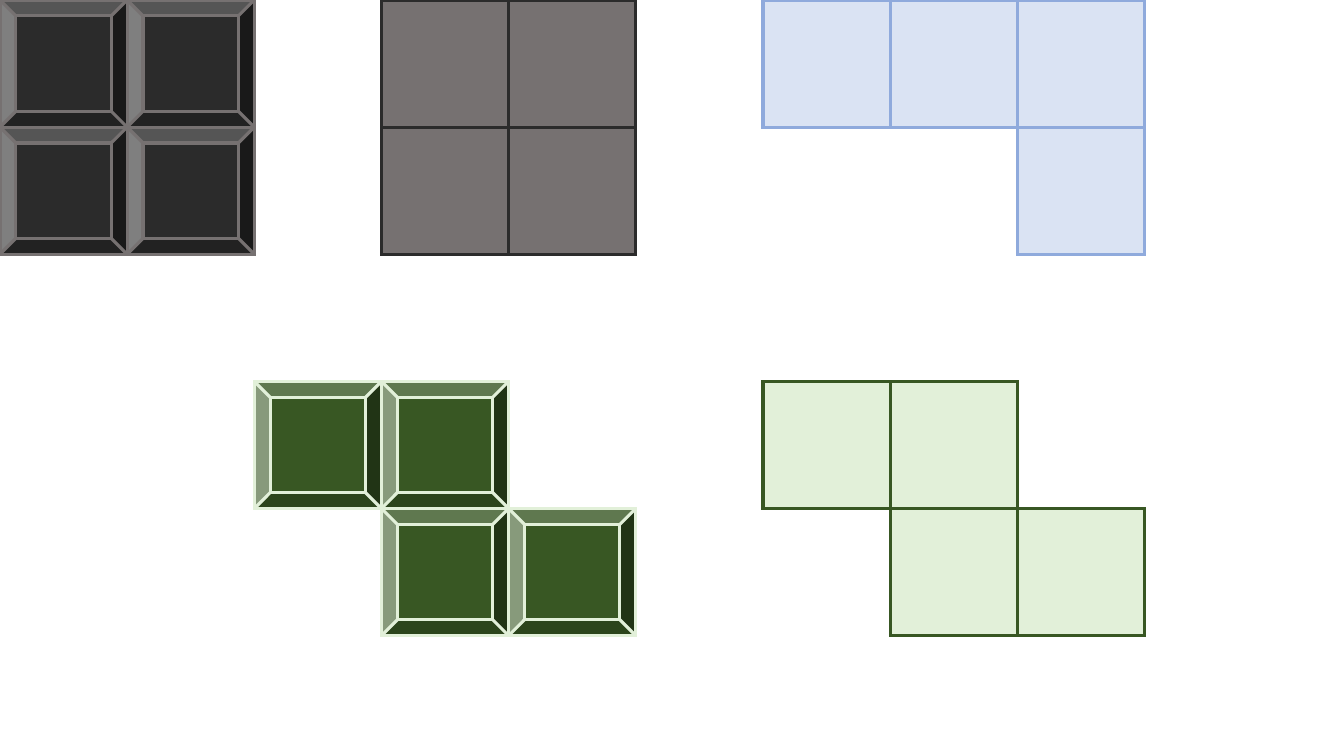
from lxml.etree import SubElement
from pptx import Presentation
from pptx.dml.color import RGBColor
from pptx.enum.shapes import MSO_SHAPE as Preset
from pptx.oxml.ns import qn
from pptx.util import Inches, Pt

CHARCOAL = RGBColor(0x2B, 0x2B, 0x2B)
GRAY = RGBColor(0x76, 0x71, 0x71)
DARK_GREEN = RGBColor(0x38, 0x57, 0x23)
PALE_GREEN = RGBColor(0xE2, 0xF0, 0xD9)
PALE_BLUE = RGBColor(0xDA, 0xE3, 0xF3)
BLUE = RGBColor(0x8F, 0xAA, 0xDC)

SQUARE = [(0, 0), (1, 0), (0, 1), (1, 1)]
HOOK = [(0, 0), (1, 0), (2, 0), (2, 1)]
ZIGZAG = [(0, 0), (1, 0), (1, 1), (2, 1)]

PIECES = [
    {"origin": (0, 0), "cells": SQUARE,
     "preset": Preset.BEVEL, "fill": CHARCOAL, "line": GRAY},
    {"origin": (3, 0), "cells": SQUARE,
     "preset": Preset.RECTANGLE, "fill": GRAY, "line": CHARCOAL},
    {"origin": (2, 3), "cells": ZIGZAG,
     "preset": Preset.BEVEL, "fill": DARK_GREEN, "line": PALE_GREEN},
    {"origin": (6, 0), "cells": HOOK,
     "preset": Preset.RECTANGLE, "fill": PALE_BLUE, "line": BLUE},
    {"origin": (6, 3), "cells": ZIGZAG,
     "preset": Preset.RECTANGLE, "fill": PALE_GREEN, "line": DARK_GREEN},
]

GRID_COLUMNS = 8
CELL = Inches(10.09) // GRID_COLUMNS


def add_piece(slide, origin, cells, preset, fill, line):
    for column, row in cells:
        left = (origin[0] + column) * CELL
        top = (origin[1] + row) * CELL
        shape = slide.shapes.add_shape(preset, left, top, CELL, CELL)
        shape.shadow.inherit = False
        shape.fill.solid()
        shape.fill.fore_color.rgb = fill
        shape.line.color.rgb = line
        shape.line.width = Pt(2.25)
        outline = shape.element.spPr.find(qn("a:ln"))
        SubElement(outline, qn("a:miter"), lim="800000")


def main():
    presentation = Presentation()
    presentation.slide_width = Inches(13.33)
    presentation.slide_height = Inches(7.5)
    slide = presentation.slides.add_slide(presentation.slide_layouts[6])
    for piece in PIECES:
        add_piece(slide, **piece)
    presentation.save("out.pptx")


if __name__ == "__main__":
    main()
